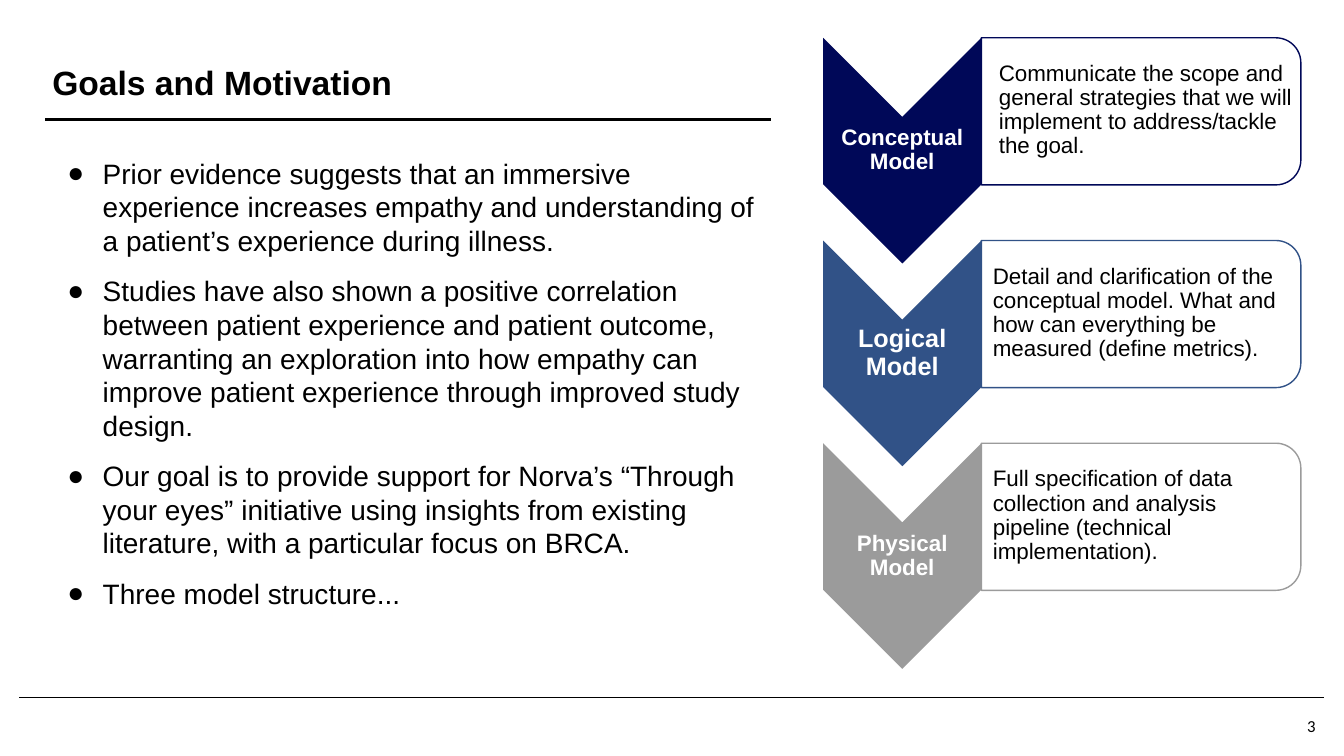
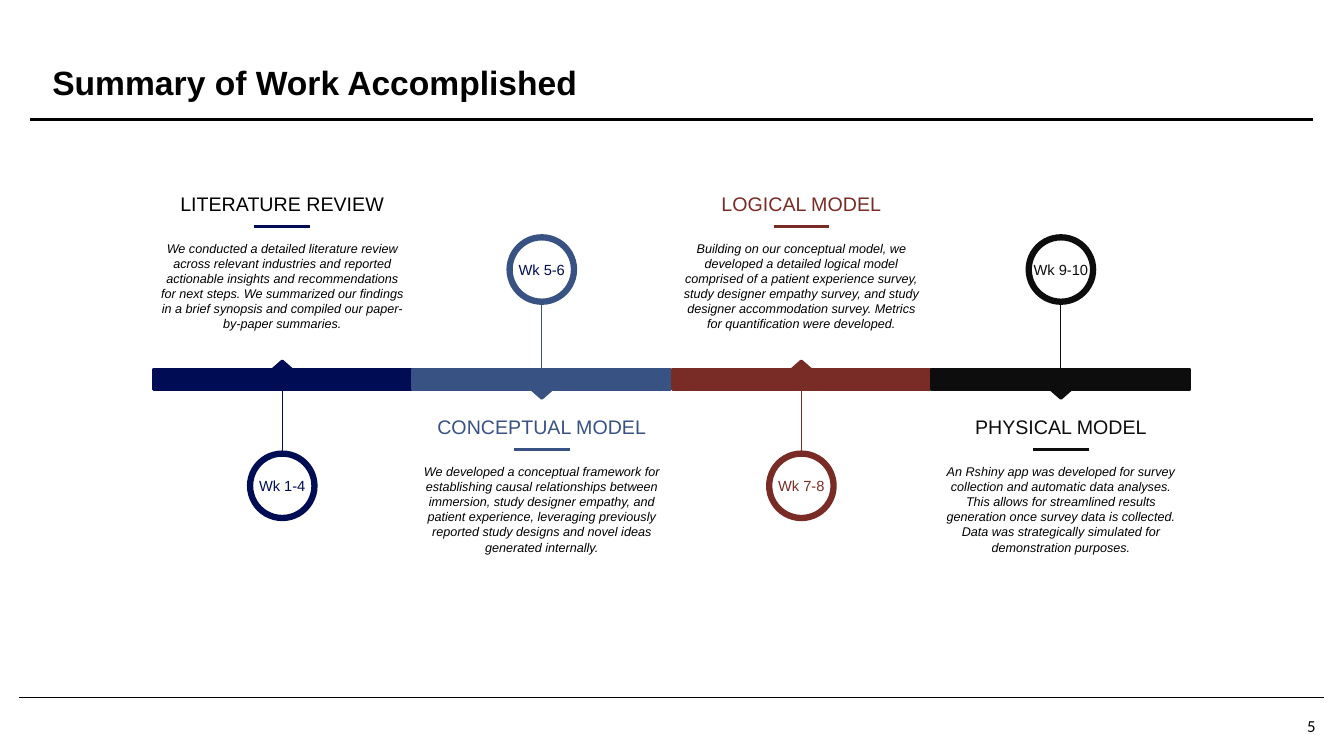
from dataclasses import dataclass

from lxml.etree import SubElement
from pptx import Presentation
from pptx.dml.color import RGBColor
from pptx.enum.shapes import MSO_CONNECTOR, MSO_SHAPE
from pptx.enum.text import MSO_ANCHOR, MSO_AUTO_SIZE, PP_ALIGN
from pptx.oxml.ns import qn
from pptx.shapes.autoshape import Shape
from pptx.slide import Slide
from pptx.text.text import TextFrame, _Paragraph as Paragraph
from pptx.util import Pt

BLACK = RGBColor(0x00, 0x00, 0x00)
WHITE = RGBColor(0xFF, 0xFF, 0xFF)
MIDNIGHT = RGBColor(0x00, 0x08, 0x58)
BLUE = RGBColor(0x31, 0x52, 0x87)
GREY = RGBColor(0x9B, 0x9B, 0x9B)
NAVY = RGBColor(0x00, 0x0D, 0x54)
STEEL = RGBColor(0x38, 0x52, 0x83)
BRICK = RGBColor(0x79, 0x2C, 0x25)
CHARCOAL = RGBColor(0x0D, 0x0D, 0x0D)

FONT = "Arial"
NUMBER_FONT = "Calibri"
TITLE_ONLY = 5


@dataclass(frozen=True)
class Box:
    left: float
    top: float
    width: float
    height: float


@dataclass(frozen=True)
class TextStyle:
    size: float
    color: RGBColor = BLACK
    bold: bool = False
    italic: bool = False
    font: str = FONT
    align: PP_ALIGN = PP_ALIGN.LEFT
    spacing: float | None = None


@dataclass(frozen=True)
class ModelStep:
    label: str
    description: str
    color: RGBColor
    label_size: float = 16
    indent: float = 0


@dataclass(frozen=True)
class Stage:
    heading: str
    weeks: str
    summary: str
    color: RGBColor
    heading_color: RGBColor
    week_color: RGBColor
    summary_width: float = 185


@dataclass(frozen=True)
class StageLayout:
    heading_top: float
    rule_y: float
    summary_top: float
    pointer_top: float
    pointer_rotation: float
    circle_top: float
    stem_start: float
    stem_end: float


CONTENT_ABOVE = StageLayout(133.9, 162, 168.2, 257.8, 0, 324, 278, 324)
CONTENT_BELOW = StageLayout(292.8, 321.2, 327.6, 276.6, 180, 169.5, 215.6, 263.6)

GOALS = [
    "Prior evidence suggests that an immersive experience increases empathy and "
    "understanding of a patient’s experience during illness.",
    "Studies have also shown a positive correlation between patient experience and patient "
    "outcome, warranting an exploration into how empathy can improve patient experience "
    "through improved study design.",
    "Our goal is to provide support for Norva’s “Through your eyes” initiative using insights "
    "from existing literature, with a particular focus on BRCA.",
    "Three model structure...",
]

MODEL_STEPS = [
    ModelStep("Conceptual Model", "Communicate the scope and general strategies that we will "
              "implement to address/tackle the goal.", MIDNIGHT, indent=4.3),
    ModelStep("Logical Model", "Detail and clarification of the conceptual model. What and how "
              "can everything be measured (define metrics).", BLUE, label_size=18),
    ModelStep("Physical Model", "Full specification of data collection and analysis pipeline "
              "(technical implementation).", GREY),
]

STAGES = [
    Stage("LITERATURE REVIEW", "Wk 1-4",
          "We conducted a detailed literature review across relevant industries and reported "
          "actionable insights and recommendations for next steps. We summarized our findings "
          "in a brief synopsis and compiled our paper-by-paper summaries.",
          NAVY, BLACK, NAVY, summary_width=190),
    Stage("CONCEPTUAL MODEL", "Wk 5-6",
          "We developed a conceptual framework for establishing causal relationships between "
          "immersion, study designer empathy, and patient experience, leveraging previously "
          "reported study designs and novel ideas generated internally.",
          STEEL, STEEL, NAVY),
    Stage("LOGICAL MODEL", "Wk 7-8",
          "Building on our conceptual model, we developed a detailed logical model comprised of "
          "a patient experience survey, study designer empathy survey, and study designer "
          "accommodation survey. Metrics for quantification were developed.",
          BRICK, BRICK, BRICK),
    Stage("PHYSICAL MODEL", "Wk 9-10",
          "An Rshiny app was developed for survey collection and automatic data analyses. This "
          "allows for streamlined results generation once survey data is collected. Data was "
          "strategically simulated for demonstration purposes.",
          CHARCOAL, CHARCOAL, CHARCOAL),
]


def add_run(paragraph: Paragraph, text: str, style: TextStyle) -> None:
    paragraph.alignment = style.align
    if style.spacing:
        paragraph.line_spacing = style.spacing
    run = paragraph.add_run()
    run.text = text
    run.font.name = style.font
    run.font.size = Pt(style.size)
    run.font.bold = style.bold
    run.font.italic = style.italic
    run.font.color.rgb = style.color


def format_frame(frame: TextFrame, horizontal: float, vertical: float,
                 anchor: MSO_ANCHOR = MSO_ANCHOR.TOP, wrap: bool = True) -> None:
    frame.auto_size = MSO_AUTO_SIZE.NONE
    frame.word_wrap = wrap
    frame.vertical_anchor = anchor
    frame.margin_left = frame.margin_right = Pt(horizontal)
    frame.margin_top = frame.margin_bottom = Pt(vertical)


def add_text(slide: Slide, box: Box, text: str, style: TextStyle, horizontal: float = 7.2,
             vertical: float = 3.6, anchor: MSO_ANCHOR = MSO_ANCHOR.TOP) -> TextFrame:
    shape = slide.shapes.add_textbox(Pt(box.left), Pt(box.top), Pt(box.width), Pt(box.height))
    format_frame(shape.text_frame, horizontal, vertical, anchor)
    add_run(shape.text_frame.paragraphs[0], text, style)
    return shape.text_frame


def add_line(slide: Slide, start: tuple[float, float], end: tuple[float, float],
             color: RGBColor, width: float) -> None:
    points = [Pt(value) for value in (*start, *end)]
    connector = slide.shapes.add_connector(MSO_CONNECTOR.STRAIGHT, *points)
    connector.line.color.rgb = color
    connector.line.width = Pt(width)
    SubElement(connector.element.spPr, qn("a:effectLst"))


def add_figure(slide: Slide, kind: MSO_SHAPE, box: Box, fill: RGBColor,
               line: RGBColor | None = None, line_width: float = 1) -> Shape:
    shape = slide.shapes.add_shape(kind, Pt(box.left), Pt(box.top), Pt(box.width), Pt(box.height))
    shape.shadow.inherit = False
    shape.fill.solid()
    shape.fill.fore_color.rgb = fill
    if line is None:
        shape.line.fill.background()
    else:
        shape.line.color.rgb = line
        shape.line.width = Pt(line_width)
    return shape


def quarter_turn(box: Box) -> Box:
    shift = (box.width - box.height) / 2
    return Box(box.left + shift, box.top - shift, box.height, box.width)


def add_titled_slide(presentation: Presentation, title: str, number: int,
                     rule_left: float, rule_right: float) -> Slide:
    slide = presentation.slides.add_slide(presentation.slide_layouts[TITLE_ONLY])
    placeholder = slide.shapes.title
    placeholder.left, placeholder.top = Pt(32.4), Pt(38.9)
    placeholder.width, placeholder.height = Pt(856.8), Pt(41)
    format_frame(placeholder.text_frame, 5, 5)
    add_run(placeholder.text_frame.paragraphs[0], title, TextStyle(24, bold=True))
    add_line(slide, (rule_left, 85.4), (rule_right, 85.4), BLACK, 2.25)
    add_line(slide, (13.7, 498.2), (946, 498.2), BLACK, 1)
    number_style = TextStyle(12, font=NUMBER_FONT, align=PP_ALIGN.RIGHT)
    add_text(slide, Box(889.2, 498.2, 57.6, 41), str(number), number_style,
             vertical=7.2, anchor=MSO_ANCHOR.MIDDLE)
    return slide


def add_bullet(paragraph: Paragraph) -> None:
    properties = paragraph._p.get_or_add_pPr()
    properties.set("marL", str(Pt(36)))
    properties.set("indent", str(Pt(-25.2)))
    bullet_color = SubElement(properties, qn("a:buClr"))
    SubElement(bullet_color, qn("a:srgbClr"), val=str(BLACK))
    SubElement(properties, qn("a:buFont"), typeface=FONT)
    SubElement(properties, qn("a:buChar"), char="●")


def add_goals(slide: Slide) -> None:
    shape = slide.shapes.add_textbox(Pt(32.4), Pt(106.6), Pt(518.4), Pt(371.5))
    frame = shape.text_frame
    format_frame(frame, 5, 5)
    for index, goal in enumerate(GOALS):
        paragraph = frame.add_paragraph() if index else frame.paragraphs[0]
        add_bullet(paragraph)
        if index:
            paragraph.space_before = Pt(12)
        add_run(paragraph, goal, TextStyle(20))


def add_model_step(slide: Slide, step: ModelStep, top: float) -> None:
    chevron_box = Box(588, top, 113, 161.2)
    chevron = add_figure(slide, MSO_SHAPE.CHEVRON, quarter_turn(chevron_box), step.color)
    chevron.rotation = 90
    label_style = TextStyle(step.label_size, WHITE, bold=True, align=PP_ALIGN.CENTER, spacing=0.9)
    add_text(slide, Box(588, top + 56.5, 113, 48.2), step.label, label_style, 0.7, 0.7,
             MSO_ANCHOR.MIDDLE)

    panel_box = Box(701, top, 228.2, 105.1)
    panel = add_figure(slide, MSO_SHAPE.ROUND_2_SAME_RECTANGLE, quarter_turn(panel_box),
                       WHITE, step.color)
    panel.rotation = 90
    panel.adjustments[0] = 0.17
    panel.adjustments[1] = 0
    frame = add_text(slide, Box(700.6, top + 4.7, 223.2, 94.3), step.description,
                     TextStyle(16, spacing=0.9), 0, 0.7, MSO_ANCHOR.MIDDLE)
    frame.margin_left = Pt(8.6 + step.indent)


def add_stage(slide: Slide, stage: Stage, layout: StageLayout, left: float) -> None:
    bar = Box(left, 263.6, 184.4, 14.4)
    center = left + bar.width / 2
    add_line(slide, (center, layout.stem_start), (center, layout.stem_end), stage.color, 0.75)
    add_figure(slide, MSO_SHAPE.RECTANGLE, bar, stage.color, stage.color, 2)
    pointer = add_figure(slide, MSO_SHAPE.ISOSCELES_TRIANGLE,
                         Box(center - 9, layout.pointer_top, 18, 7.9),
                         stage.color, stage.color, 2)
    pointer.rotation = layout.pointer_rotation
    circle = add_figure(slide, MSO_SHAPE.OVAL, Box(center - 23, layout.circle_top, 46, 46),
                        WHITE, stage.color, 4.5)
    format_frame(circle.text_frame, 0, 0, MSO_ANCHOR.MIDDLE, wrap=False)
    add_run(circle.text_frame.paragraphs[0], stage.weeks,
            TextStyle(10.5, stage.week_color, align=PP_ALIGN.CENTER))

    add_text(slide, Box(center - 85, layout.heading_top, 170, 24.5), stage.heading,
             TextStyle(14, stage.heading_color, align=PP_ALIGN.CENTER))
    add_line(slide, (center - 19.8, layout.rule_y), (center + 19.8, layout.rule_y),
             stage.color, 2.25)
    summary_box = Box(center - stage.summary_width / 2, layout.summary_top,
                      stage.summary_width, 72.7)
    add_text(slide, summary_box, stage.summary,
             TextStyle(9, italic=True, align=PP_ALIGN.CENTER))


def main() -> None:
    presentation = Presentation()
    presentation.slide_width, presentation.slide_height = Pt(960), Pt(540)

    goals_slide = add_titled_slide(presentation, "Goals and Motivation", 3, 32.4, 550.8)
    add_goals(goals_slide)
    for index, step in enumerate(MODEL_STEPS):
        add_model_step(goals_slide, step, 27 + 144.8 * index)

    summary_slide = add_titled_slide(presentation, "Summary of Work Accomplished", 5, 21.6, 938.2)
    for index, stage in enumerate(STAGES):
        layout = CONTENT_BELOW if index % 2 else CONTENT_ABOVE
        add_stage(summary_slide, stage, layout, 109.4 + 185.4 * index)

    presentation.save("out.pptx")


if __name__ == "__main__":
    main()
